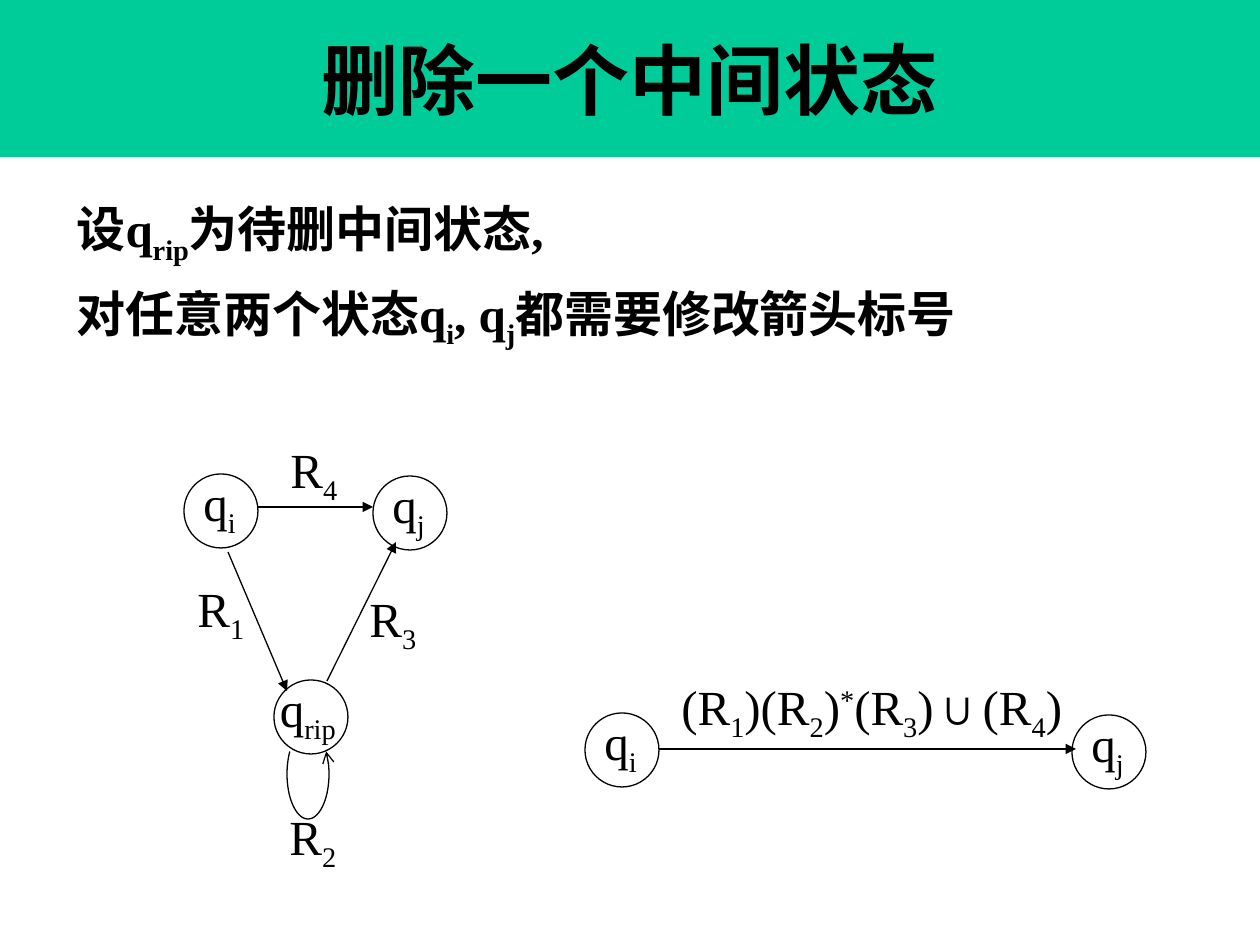
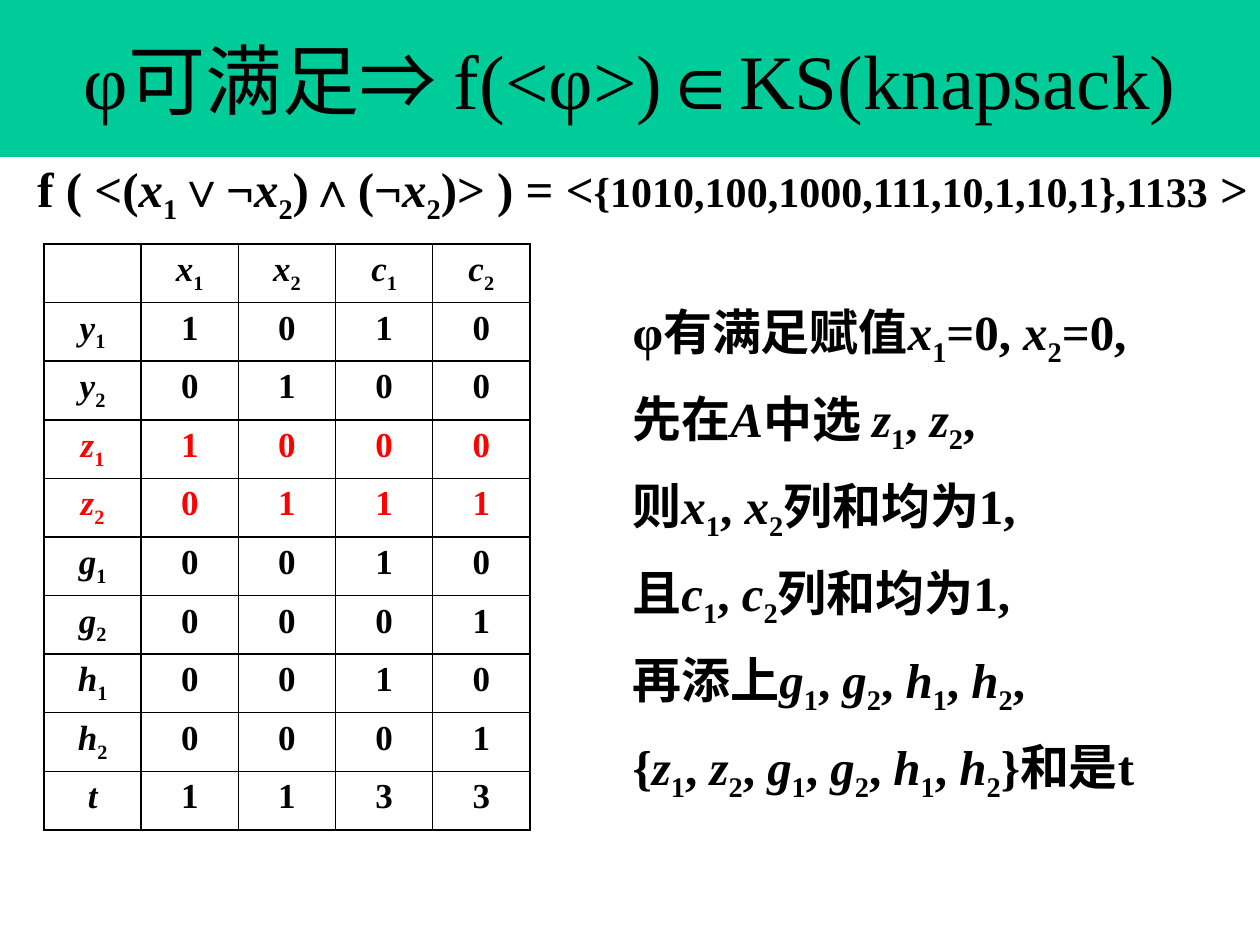
import math
import lxml.etree
import pptx
import pptx.dml.color
import pptx.enum.lang
import pptx.enum.shapes
import pptx.enum.text
import pptx.oxml.ns
import pptx.util

SCALE = 914400 / 126
FONT = "Times New Roman"
BLACK, WHITE, GREEN, RED = "000000", "FFFFFF", "00CC99", "FF0000"
SUB, SUP, SLANT, SMALL = "~", "^", "`", "|"
NODE = 74
ALIGN = pptx.enum.text.PP_ALIGN
ANCHOR = pptx.enum.text.MSO_ANCHOR
SHAPE = pptx.enum.shapes.MSO_SHAPE

GRID = [
    ["", "`x`~1~", "`x`~2~", "`c`~1~", "`c`~2~"],
    ["`y`~1~", "1", "0", "1", "0"],
    ["`y`~2~", "0", "1", "0", "0"],
    ["`z`~1~", "1", "0", "0", "0"],
    ["`z`~2~", "0", "1", "1", "1"],
    ["`g`~1~", "0", "0", "1", "0"],
    ["`g`~2~", "0", "0", "0", "1"],
    ["`h`~1~", "0", "0", "1", "0"],
    ["`h`~2~", "0", "0", "0", "1"],
    ["`t`", "1", "1", "3", "3"],
]
PROOF = [
    "φ有满足赋值`x`~1~=0, `x`~2~=0,",
    "先在`A`中选 `z`~1~, `z`~2~,",
    "则`x`~1~, `x`~2~列和均为1,",
    "且`c`~1~, `c`~2~列和均为1,",
    "再添上`g`~1~, `g`~2~, `h`~1~, `h`~2~,",
    "{`z`~1~, `z`~2~, `g`~1~, `g`~2~, `h`~1~, `h`~2~}和是t",
]


def px(num):
    return pptx.util.Emu(round(num * SCALE))


def hue(code):
    return pptx.dml.color.RGBColor.from_string(code)


def node(root, tag, **attrs):
    return lxml.etree.SubElement(root, pptx.oxml.ns.qn(tag), **attrs)


def split(text):
    marks, part = set(), ""
    for char in text:
        if char in (SUB, SUP, SLANT, SMALL):
            if part:
                yield part, marks
            marks ^= {char}
            part = ""
        else:
            part += char
    if part:
        yield part, marks


def fill_text(para, text, size=28, bold=False, ink=BLACK):
    for part, marks in split(text):
        run = para.add_run()
        run.text = part
        font = run.font
        font.name, font.bold = FONT, bold
        font.size = pptx.util.Pt(24 if SMALL in marks else size)
        font.italic = SLANT in marks
        font.color.rgb = hue(ink)
        font.language_id = pptx.enum.lang.MSO_LANGUAGE_ID.SIMPLIFIED_CHINESE
        base = "-25000" if SUB in marks else "30000" if SUP in marks else None
        if base:
            run._r.get_or_add_rPr().set("baseline", base)


def place(shape, x, y, w, h):
    shape.left, shape.top, shape.width, shape.height = map(px, (x, y, w, h))


def head(slide, text, bold=False):
    title = slide.shapes.title
    place(title, 0, 0, 1260, 157)
    title.fill.solid()
    title.fill.fore_color.rgb = hue(GREEN)
    frame = title.text_frame
    frame.auto_size = pptx.enum.text.MSO_AUTO_SIZE.NONE
    frame.vertical_anchor = ANCHOR.MIDDLE
    para = frame.paragraphs[0]
    para.alignment = ALIGN.CENTER
    fill_text(para, text, 44, bold)


def body(slide, box, lines, pitch, gap=0):
    shape = slide.placeholders[1]
    place(shape, *box)
    frame = shape.text_frame
    frame.auto_size = pptx.enum.text.MSO_AUTO_SIZE.NONE
    frame.vertical_anchor = ANCHOR.TOP
    for i, line in enumerate(lines):
        para = frame.add_paragraph() if i else frame.paragraphs[0]
        props = para._p.get_or_add_pPr()
        props.set("marL", "0")
        props.set("indent", "0")
        node(props, "a:buNone")
        para.line_spacing = pitch
        para.space_before = pptx.util.Pt(gap if i else 0)
        fill_text(para, line, bold=True)


def label(slide, x, y, w, text, bold=False):
    box = slide.shapes.add_textbox(*map(px, (x, y, w, 72)))
    box.text_frame.word_wrap = True
    fill_text(box.text_frame.paragraphs[0], text, bold=bold)


def ink_line(shape):
    shape.line.color.rgb = hue(BLACK)
    shape.line.width = pptx.util.Pt(0.75)


def tip(shape, kind):
    node(shape.line._get_or_add_ln(), "a:tailEnd", type=kind)


def state(slide, x, y, name, w=60):
    ring = slide.shapes.add_shape(SHAPE.OVAL, *map(px, (x, y, NODE, NODE)))
    ring.shadow.inherit = False
    ring.fill.background()
    ink_line(ring)
    label(slide, x + (NODE - w) / 2, y - 8, w, name)


def edge(slide, *ends):
    kind = pptx.enum.shapes.MSO_CONNECTOR.STRAIGHT
    line = slide.shapes.add_connector(kind, *map(px, ends))
    ink_line(line)
    tip(line, "triangle")
    node(line._element.spPr, "a:effectLst")


def loop(slide, x, y, wide, high):
    turns = [math.radians(deg) for deg in range(-30, 211, 5)]
    dots = [(px(x - wide * math.cos(t)), px(y + high * math.sin(t)))
            for t in turns]
    path = slide.shapes.build_freeform(*dots[0], scale=1.0)
    path.add_line_segments(dots[1:], close=False)
    curve = path.convert_to_shape()
    curve.shadow.inherit = False
    curve.fill.background()
    ink_line(curve)
    tip(curve, "arrow")


def before(slide, x, y):
    state(slide, x, y, "q~i~")
    state(slide, x + 189, y + 2, "q~j~")
    state(slide, x + 90, y + 206, "q~rip~", 87)
    edge(slide, x + 73, y + 33, x + 189, y + 33)
    edge(slide, x + 44, y + 78, x + 103, y + 217)
    edge(slide, x + 143, y + 207, x + 212, y + 68)
    loop(slide, x + 124, y + 300, 21, 45)
    for num, left, top in ((4, 94, -41), (2, 93, 326), (1, 1, 98), (3, 173, 108)):
        label(slide, x + left, y + top, 83, f"R~{num}~")


def after(slide, x, y):
    state(slide, x, y, "q~i~")
    state(slide, x + 487, y + 2, "q~j~")
    edge(slide, x + 74, y + 36, x + 491, y + 36)
    label(slide, x + 84, y - 43, 416, "(R~1~)(R~2~)^*^(R~3~)∪(R~4~)")


def frame_cell(cell):
    cell.fill.solid()
    cell.fill.fore_color.rgb = hue(WHITE)
    props = cell._tc.get_or_add_tcPr()
    for i, side in enumerate(("a:lnL", "a:lnR", "a:lnT", "a:lnB")):
        line = node(props, side, w="12700")
        node(node(line, "a:solidFill"), "a:srgbClr", val=BLACK)
        props.insert(i, line)


def table(slide, box, grid):
    shape = slide.shapes.add_table(len(grid), len(grid[0]), *map(px, box))
    tab = shape.table
    tab.first_row = tab.horz_banding = False
    for r, row in enumerate(grid):
        ink = RED if row[0].startswith("`z") else BLACK
        for c, text in enumerate(row):
            cell = tab.cell(r, c)
            frame_cell(cell)
            para = cell.text_frame.paragraphs[0]
            para.alignment = ALIGN.CENTER
            fill_text(para, text, 20, True, ink)


def remove_state(slide):
    head(slide, "删除一个中间状态", True)
    body(slide, (64, 186, 921, 240),
         ["设q~rip~为待删中间状态,",
          "对任意两个状态q~i~, q~j~都需要修改箭头标号"], 1.1, 6)
    before(slide, 184, 474)
    after(slide, 585, 713)


def knapsack(slide):
    head(slide, "φ可满足⇒ f(<φ>)∈KS(knapsack)")
    table(slide, (44, 244, 486, 586), GRID)
    label(slide, 25, 152, 1244,
          "f ( <(`x`~1~∨¬`x`~2~)∧(¬`x`~2~)> ) = <"
          "|{1010,100,1000,111,10,1,10,1},1133| >", True)
    body(slide, (620, 275, 547, 620), PROOF, 1.3)


def main():
    deck = pptx.Presentation()
    deck.slide_width, deck.slide_height = px(1260), px(945)
    for build in (remove_state, knapsack):
        build(deck.slides.add_slide(deck.slide_layouts[1]))
    deck.save("out.pptx")


if __name__ == "__main__":
    main()
